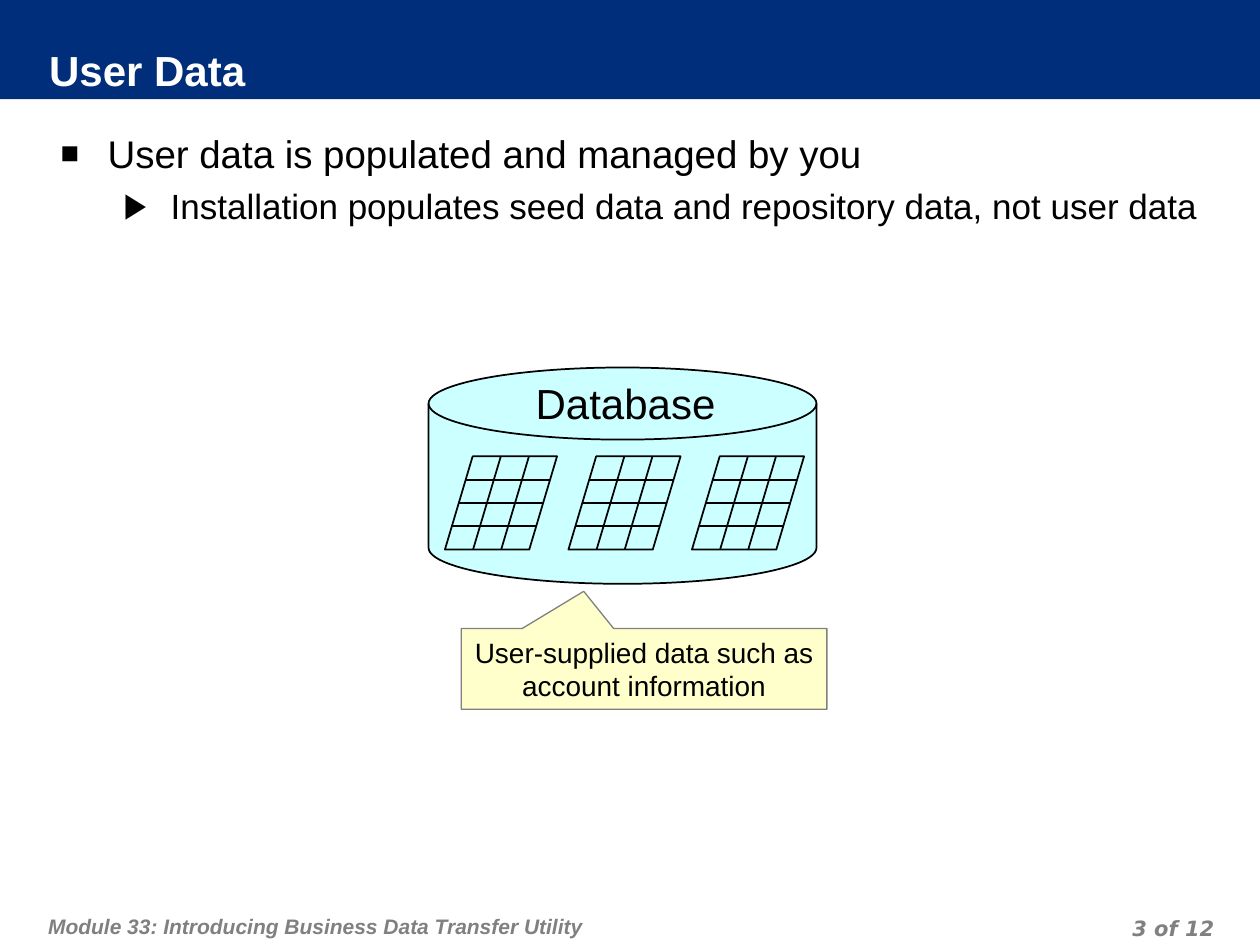
from dataclasses import dataclass

from lxml.etree import SubElement
from pptx import Presentation
from pptx.dml.color import RGBColor
from pptx.enum.shapes import MSO_CONNECTOR, MSO_SHAPE
from pptx.enum.text import MSO_ANCHOR, MSO_AUTO_SIZE, PP_ALIGN
from pptx.oxml.ns import qn
from pptx.util import Cm, Pt


@dataclass(frozen=True)
class Theme:
    font: str = "Arial"
    number_font: str = "DejaVu Sans"
    navy: RGBColor = RGBColor(0x00, 0x2E, 0x7A)
    white: RGBColor = RGBColor(0xFF, 0xFF, 0xFF)
    black: RGBColor = RGBColor(0x00, 0x00, 0x00)
    gray: RGBColor = RGBColor(0x80, 0x80, 0x80)
    aqua: RGBColor = RGBColor(0xCC, 0xFF, 0xFF)
    cream: RGBColor = RGBColor(0xFF, 0xFF, 0xCC)
    heading: int = 24
    bullet: int = 22
    sub_bullet: int = 20
    callout: int = 16
    footer: int = 12


THEME = Theme()


def place(shape, left, top, width, height):
    shape.left, shape.top = Cm(left), Cm(top)
    shape.width, shape.height = Cm(width), Cm(height)


def set_frame(frame, insets, anchor=MSO_ANCHOR.TOP):
    frame.word_wrap = True
    frame.auto_size = MSO_AUTO_SIZE.NONE
    frame.vertical_anchor = anchor
    frame.margin_left, frame.margin_top, frame.margin_right, frame.margin_bottom = map(Cm, insets)


def write(paragraph, text, size, color, align=PP_ALIGN.LEFT, space=0,
          font=THEME.font, bold=False, italic=False):
    paragraph.text = text
    paragraph.alignment = align
    paragraph.space_before = Pt(space)
    paragraph.font.name = font
    paragraph.font.size = Pt(size)
    paragraph.font.color.rgb = color
    paragraph.font.bold = bold
    paragraph.font.italic = italic


def add_shape(slide, kind, box, fill=None, line=None, weight=1):
    shape = slide.shapes.add_shape(kind, *map(Cm, box))
    shape.shadow.inherit = False
    if fill is None:
        shape.fill.background()
    else:
        shape.fill.solid()
        shape.fill.fore_color.rgb = fill
    if line is None:
        shape.line.fill.background()
    else:
        shape.line.color.rgb = line
        shape.line.width = Pt(weight)
    return shape


def add_text(slide, box, insets, text, size, color, **style):
    frame = slide.shapes.add_textbox(*map(Cm, box)).text_frame
    set_frame(frame, insets)
    write(frame.paragraphs[0], text, size, color, **style)
    return frame.paragraphs[0]


def add_line(slide, *ends):
    line = slide.shapes.add_connector(MSO_CONNECTOR.STRAIGHT, *map(Cm, ends))
    line.line.color.rgb = THEME.black
    line.line.width = Pt(1)
    SubElement(line._element.spPr, qn("a:effectLst"))


def set_bullet(paragraph, character, indent, percent):
    properties = paragraph._p.get_or_add_pPr()
    properties.set("marL", str(Cm(indent)))
    properties.set("indent", str(Cm(-0.95)))
    color = SubElement(properties, qn("a:buClr"))
    SubElement(color, qn("a:srgbClr"), val=str(THEME.black))
    SubElement(properties, qn("a:buSzPct"), val=str(percent * 1000))
    SubElement(properties, qn("a:buFont"), typeface=THEME.font)
    SubElement(properties, qn("a:buChar"), char=character)


def add_title(slide, text):
    title = slide.shapes.title
    place(title, 0.99, 0.95, 23.29, 1.02)
    title.fill.solid()
    title.fill.fore_color.rgb = THEME.navy
    set_frame(title.text_frame, (0, 0, 0.13, 0.13), MSO_ANCHOR.MIDDLE)
    write(title.text_frame.paragraphs[0], text, THEME.heading, THEME.white, bold=True)


def add_bullets(slide):
    body = slide.placeholders[1]
    place(body, 0.97, 2.37, 23.62, 15.7)
    frame = body.text_frame
    set_frame(frame, (0.25, 0.25, 0.25, 0.13))
    first, second = frame.paragraphs[0], frame.add_paragraph()
    second.level = 1
    set_bullet(first, "■", 0.95, 80)
    set_bullet(second, "▶", 2.22, 100)
    write(first, "User data is populated and managed by you",
          THEME.bullet, THEME.black, space=5.5)
    write(second, "Installation populates seed data and repository data, not user data",
          THEME.sub_bullet, THEME.black, space=5)


def add_data_grid(slide, left, top, columns=3, rows=4):
    width, height, slant = 2.26, 1.88, 0.56
    outline = add_shape(slide, MSO_SHAPE.PARALLELOGRAM, (left, top, width, height),
                        line=THEME.black)
    outline.adjustments[0] = slant / height
    base = width - slant
    for column in range(1, columns):
        foot = left + base * column / columns
        add_line(slide, foot + slant, top, foot, top + height)
    for row in range(1, rows):
        start = left + slant * (1 - row / rows)
        level = top + height * row / rows
        add_line(slide, start, level, start + base, level)


def add_database(slide):
    add_shape(slide, MSO_SHAPE.FLOWCHART_MAGNETIC_DISK, (8.64, 7.41, 7.82, 4.36),
              THEME.aqua, THEME.black)
    add_text(slide, (10.49, 7.48, 4.24, 1.27), (0.25, 0.13, 0.25, 0.13),
             "Database", THEME.heading, THEME.black, align=PP_ALIGN.CENTER, space=15)
    for index in range(3):
        add_data_grid(slide, 8.97 + 2.49 * index, 9.2)


def add_callout(slide, text):
    callout = add_shape(slide, MSO_SHAPE.RECTANGULAR_CALLOUT, (9.3, 12.67, 7.37, 1.63),
                        THEME.cream, THEME.gray, 0.75)
    callout.adjustments[0] = -0.165
    callout.adjustments[1] = -0.96
    set_frame(callout.text_frame, (0.25, 0.13, 0.25, 0.13), MSO_ANCHOR.MIDDLE)
    write(callout.text_frame.paragraphs[0], text, THEME.callout, THEME.black,
          align=PP_ALIGN.CENTER)


def add_footer(slide):
    style = {"space": 6, "bold": True, "italic": True}
    module = add_text(slide, (0.84, 18.03, 15.7, 1.02), (0.13, 0.25, 0.13, 0.13),
                      "Module 33: Introducing Business Data Transfer Utility",
                      THEME.footer, THEME.gray, **style)
    number = add_text(slide, (18.69, 18.32, 5.92, 0.64), (0.13, 0, 0.13, 0),
                      "3 of 12", THEME.footer, THEME.gray,
                      align=PP_ALIGN.RIGHT, font=THEME.number_font, **style)
    for paragraph in (module, number):
        paragraph.line_spacing = Pt(18)


def main():
    presentation = Presentation()
    presentation.slide_width, presentation.slide_height = Cm(25.4), Cm(19.05)
    slide = presentation.slides.add_slide(presentation.slide_layouts[1])
    band = add_shape(slide, MSO_SHAPE.RECTANGLE, (0, 0, 25.4, 2), THEME.navy)
    slide.shapes._spTree.insert(2, band._element)
    add_title(slide, "User Data")
    add_bullets(slide)
    add_database(slide)
    add_callout(slide, "User-supplied data such as account information")
    add_footer(slide)
    presentation.save("out.pptx")


if __name__ == "__main__":
    main()
